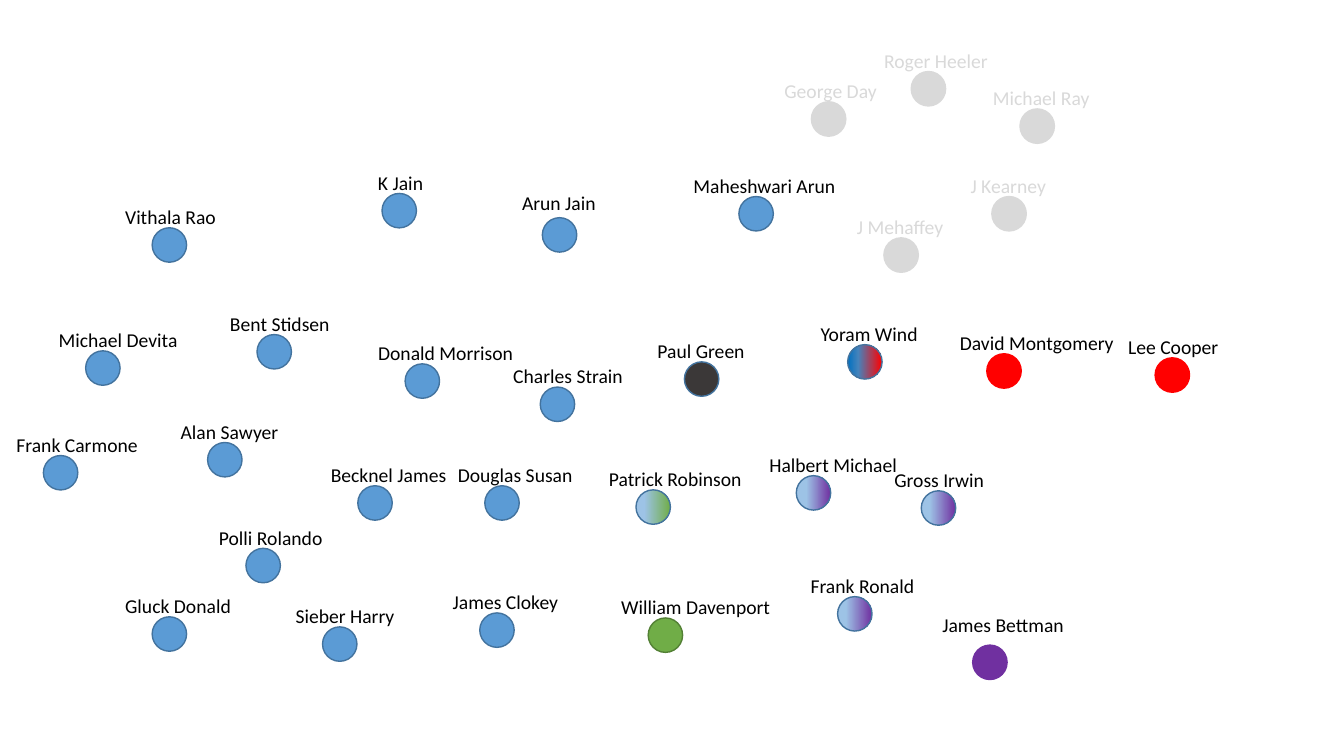
from copy import deepcopy
from dataclasses import dataclass

from pptx import Presentation
from pptx import util as u
from pptx.dml.color import RGBColor
from pptx.enum import shapes, text
from pptx.oxml.ns import qn
from pptx.shapes.autoshape import Shape
from pptx.slide import Slide

Pt = u.Pt


@dataclass(frozen=True)
class Theme:
    font: str = "Calibri"
    size: float = 14
    ink: str = "000000"
    blue: str = "5B9BD5"
    blue_edge: str = "43739E"
    light_blue: str = "9DC3E6"
    deep_blue: str = "0070C0"
    mid_blue: str = "4583BB"
    green: str = "70AD47"
    green_edge: str = "538035"
    purple: str = "7030A0"
    red: str = "FF0000"
    charcoal: str = "3B3838"
    grey: str = "D9D9D9"


T = Theme()
DOT = 24.6
LABEL_HEIGHT = 24.3


@dataclass(frozen=True)
class Style:
    """Dot colours; several stops (percent, colour) make a gradient."""
    stops: tuple[tuple[int, str], ...]
    edge: str = T.blue_edge
    ink: str = T.ink


def solid(color: str, edge: str = T.blue_edge, ink: str = T.ink) -> Style:
    return Style(((0, color),), edge, ink)


def blend(start: str, hold: int, middle: str, end: str) -> Style:
    return Style(((0, start), (hold, middle), (100, end)))


BLUE = solid(T.blue)
CHARCOAL = solid(T.charcoal)
GREEN = solid(T.green, T.green_edge)
PURPLE = solid(T.purple, T.purple)
RED = solid(T.red, T.red)
GREY = solid(T.grey, T.grey, T.grey)
BLUE_PURPLE = blend(T.light_blue, 24, T.light_blue, T.purple)
BLUE_PURPLE_LATE = blend(T.light_blue, 29, T.light_blue, T.purple)
BLUE_GREEN = blend(T.light_blue, 24, T.light_blue, T.green)
BLUE_RED = blend(T.deep_blue, 31, T.mid_blue, T.red)


@dataclass(frozen=True)
class Person:
    """Dot corner, label width, and label offset from the dot."""
    name: str
    x: float
    y: float
    width: float
    style: Style = BLUE
    dx: float = -26.4
    dy: float = -19.8


PEOPLE = [
    Person("Paul Green", 488.9, 258.5, 77.8, CHARCOAL),
    Person("Becknel James", 255.6, 347, 97.9),
    Person("Donald Morrison", 289.4, 259.9, 112.3),
    Person("K Jain", 272.9, 138.2, 46.8, dx=-10),
    Person("Halbert Michael", 568.8, 339.8, 106.6, BLUE_PURPLE_LATE),
    Person("Charles Strain", 385.9, 276.5, 93.6),
    Person("Bent Stidsen", 183.6, 239, 86.4),
    Person("Alan Sawyer", 148.3, 316.1, 85),
    Person("Gross Irwin", 658.1, 350.6, 79.2, BLUE_PURPLE),
    Person("Gluck Donald", 108.7, 440.6, 90.7),
    Person("Frank Ronald", 598.3, 426.2, 89.3, BLUE_PURPLE),
    Person("Douglas Susan", 346.3, 347, 97.2),
    Person("Maheshwari Arun", 527.8, 140.4, 117.4, dx=-39.6),
    Person("Arun Jain", 387.4, 155.5, 67.7, dx=-21.6, dy=-23),
    Person("Patrick Robinson", 454.3, 349.9, 110.2, BLUE_GREEN),
    Person("Polli Rolando", 175.7, 391.7, 89.3),
    Person("Sieber Harry", 230.4, 447.8, 85.7),
    Person("Yoram Wind", 605.5, 246.2, 84.2, BLUE_RED),
    Person("James Clokey", 342.7, 437.8, 90.7),
    Person("Frank Carmone", 31, 325.4, 102.2),
    Person("Michael Devita", 61.2, 250.6, 100.8),
    Person("Vithala Rao", 108.7, 162.7, 79.9),
    Person("James Bettman", 694.8, 460.8, 102.2, PURPLE, dx=-28.8, dy=-26.6),
    Person("William Davenport", 463, 441.4, 122.4, GREEN),
    Person("David Montgomery", 704.9, 252.7, 125.3, RED),
    Person("Lee Cooper", 825.1, 255.6, 79.9, RED),
    Person("J Mehaffey", 631.4, 169.9, 77, GREY),
    Person("Roger Heeler", 650.9, 51.1, 89.3, GREY),
    Person("J Kearney", 708.5, 140.4, 69.1, GREY, dx=-22.3),
    Person("George Day", 579.6, 72.7, 81.4, GREY),
    Person("Michael Ray", 728.6, 77.8, 84.2, GREY),
]


def rgb(color: str) -> RGBColor:
    return RGBColor.from_string(color)


def paint(sp: Shape, style: Style) -> None:
    fill = sp.fill
    if len(style.stops) == 1:
        fill.solid()
        fill.fore_color.rgb = rgb(style.stops[0][1])
    else:
        fill.gradient()
        fill.gradient_angle = 0
        # The default gradient has two stops; add the middle one
        stop_list = sp._element.spPr.find(qn("a:gradFill")).find(qn("a:gsLst"))
        stop_list.insert(1, deepcopy(stop_list[0]))
        for stop, (percent, color) in zip(fill.gradient_stops, style.stops):
            stop.position = percent / 100
            stop.color.rgb = rgb(color)
    sp.line.color.rgb = rgb(style.edge)
    sp.line.width = Pt(1)
    sp.shadow.inherit = False


def draw_person(s: Slide, person: Person) -> None:
    group = s.shapes.add_group_shape()

    # Dot
    dot = group.shapes.add_shape(shapes.MSO_SHAPE.OVAL, Pt(person.x),
                                 Pt(person.y), Pt(DOT), Pt(DOT))
    paint(dot, person.style)

    # Name above the dot
    label = group.shapes.add_textbox(
        Pt(person.x + person.dx), Pt(person.y + person.dy),
        Pt(person.width), Pt(LABEL_HEIGHT))
    tf = label.text_frame
    tf.word_wrap = False
    tf.auto_size = text.MSO_AUTO_SIZE.SHAPE_TO_FIT_TEXT
    p = tf.paragraphs[0]
    p.text = person.name
    p.font.name = T.font
    p.font.size = Pt(T.size)
    p.font.color.rgb = rgb(person.style.ink)


# Slide
prs = Presentation()
prs.slide_width, prs.slide_height = Pt(960), Pt(540)
s = prs.slides.add_slide(prs.slide_layouts.get_by_name("Blank"))

for person in PEOPLE:
    draw_person(s, person)

prs.save("out.pptx")
